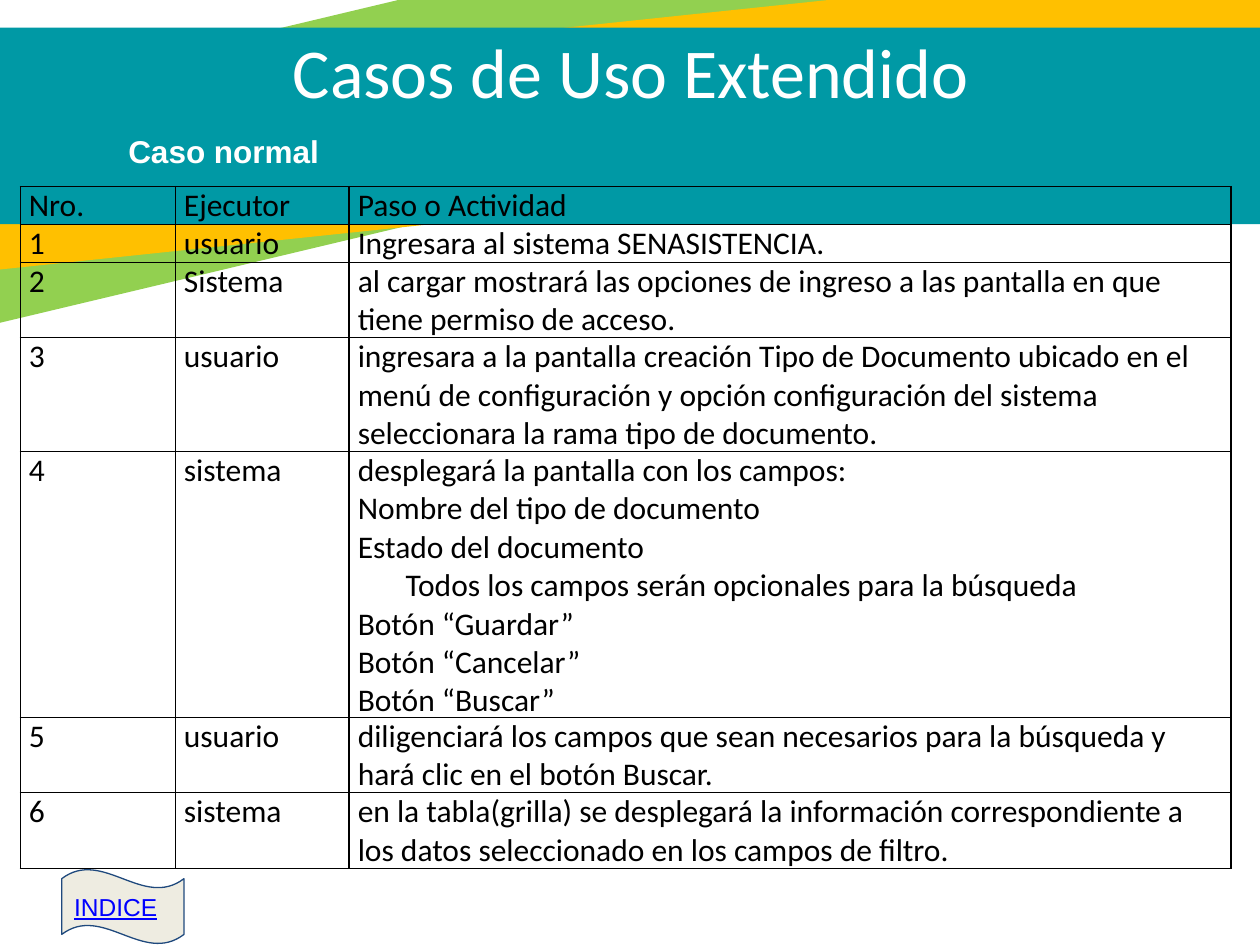
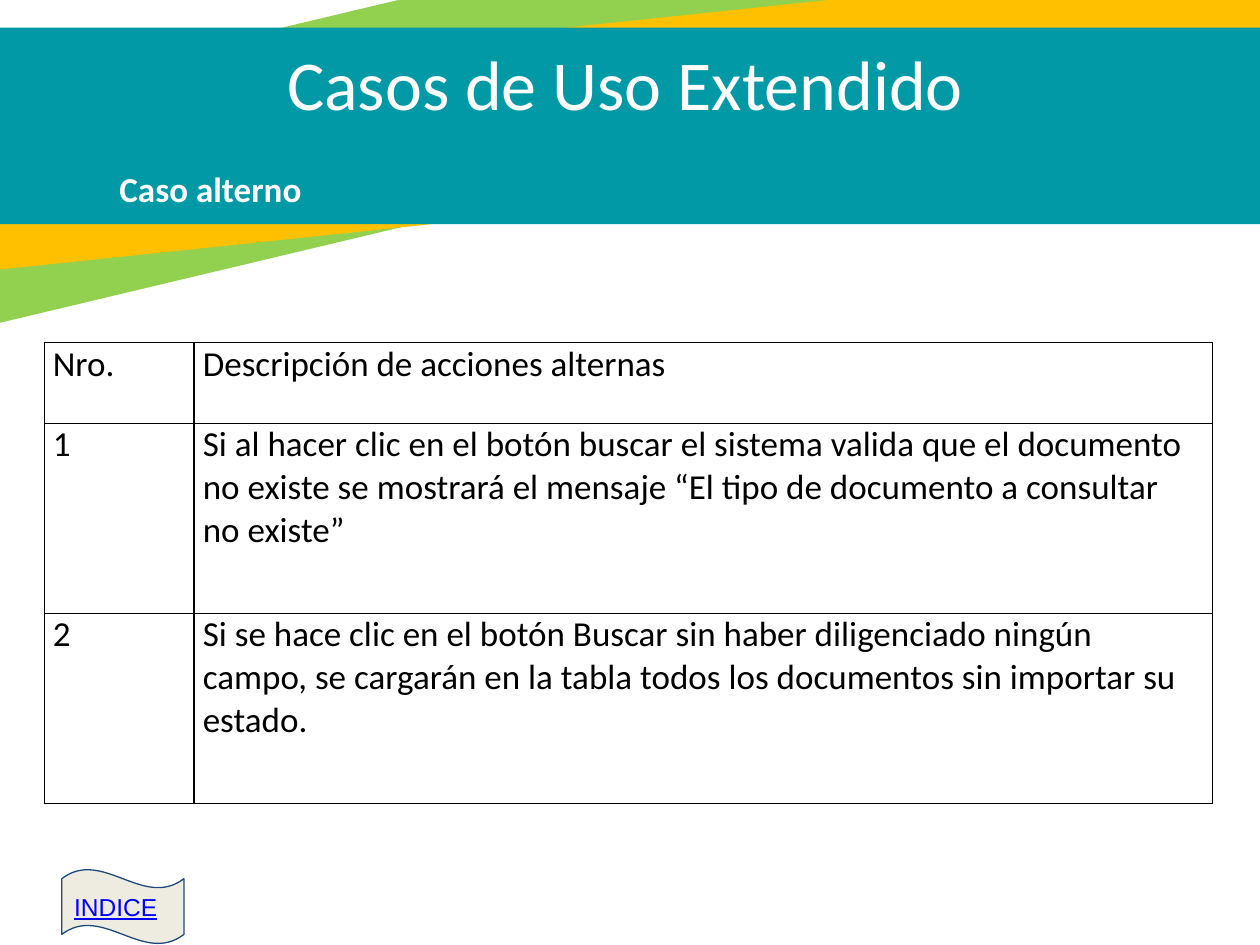
from lxml import etree
from pptx import Presentation
from pptx.dml.color import RGBColor
from pptx.enum.shapes import MSO_SHAPE as Shape
from pptx.enum.text import MSO_ANCHOR as Anchor, PP_ALIGN as Align
from pptx.oxml.ns import qn
from pptx.util import Inches, Pt

TEAL = RGBColor(0x00, 0x99, 0xA5)
GREEN = RGBColor(0x92, 0xD0, 0x50)
AMBER = RGBColor(0xFF, 0xC0, 0x00)
CREAM = RGBColor(0xEE, 0xEC, 0xE1)
NAVY = RGBColor(0x1F, 0x49, 0x7D)
BLUE = RGBColor(0x00, 0x00, 0xFF)
WHITE = RGBColor(0xFF, 0xFF, 0xFF)
BLACK = RGBColor(0x00, 0x00, 0x00)

BANDS = [
    (-2.51, -0.18, 13.06, 1.76, 346.6, GREEN),
    (-1.1, 0.2, 11.63, 1.44, 354, AMBER),
    (-1.06, 0.22, 11.63, 1.56, 0, TEAL),
]
INDENTED_LINE = "Todos los campos serán opcionales para la búsqueda"

SLIDES = [
    {
        "title_box": (0, 0.18, 10.01, 0.77),
        "case": "Caso normal",
        "case_box": (0.92, 1, 5, 0.4),
        "case_font": "Arial",
        "size": 18,
        "table_at": (0.16, 1.48),
        "columns": [1.23, 1.38, 7],
        "heights": [0.3, 0.3, 0.6, 0.9, 2.11, 0.6, 0.6],
        "rows": [
            ("Nro.", "Ejecutor", "Paso o Actividad"),
            ("1", "usuario", "Ingresara al sistema SENASISTENCIA."),
            ("2", "Sistema", "al cargar mostrará las opciones de ingreso a las pantalla "
             "en que tiene permiso de acceso."),
            ("3", "usuario", "ingresara a la pantalla creación Tipo de Documento ubicado "
             "en el menú de configuración y opción configuración del sistema "
             "seleccionara la rama tipo de documento."),
            ("4", "sistema", "desplegará la pantalla con los campos:\n"
             "Nombre del tipo de documento\nEstado del documento\n"
             f"{INDENTED_LINE}\n"
             "Botón “Guardar”\nBotón “Cancelar”\nBotón “Buscar”"),
            ("5", "usuario", "diligenciará los campos que sean necesarios para la "
             "búsqueda y hará clic en el botón Buscar."),
            ("6", "sistema", "en la tabla(grilla) se desplegará la información "
             "correspondiente a los datos seleccionado en los campos de filtro."),
        ],
    },
    {
        "title_box": (0, 0.27, 9.92, 0.77),
        "case": "Caso alterno",
        "case_box": (0.85, 1.28, 5, 0.44),
        "case_font": "Calibri",
        "size": 20,
        "table_at": (0.35, 2.72),
        "columns": [1.19, 8.08],
        "heights": [0.64, 1.51, 1.51],
        "rows": [
            ("Nro.", "Descripción de acciones alternas"),
            ("1", "Si al hacer clic en el botón buscar el sistema valida que el "
             "documento no existe se mostrará el mensaje “El tipo de documento a "
             "consultar no existe”"),
            ("2", "Si se hace clic en el botón Buscar sin haber diligenciado ningún "
             "campo, se cargarán en la tabla todos los documentos sin importar su "
             "estado."),
        ],
    },
]


def write_text(frame, text, size, font="Calibri", color=BLACK, bold=False,
               underline=False, align=Align.LEFT):
    frame.word_wrap = True
    for index, line in enumerate(text.split("\n")):
        paragraph = frame.paragraphs[0] if index == 0 else frame.add_paragraph()
        paragraph.alignment = align
        if line == INDENTED_LINE:
            paragraph._p.get_or_add_pPr().set("marL", str(Inches(0.38)))
        run = paragraph.add_run()
        run.text = line
        run.font.size = Pt(size)
        run.font.name = font
        run.font.bold = bold
        run.font.underline = underline
        run.font.color.rgb = color


def add_borders(cell):
    properties = cell._tc.get_or_add_tcPr()
    for position, side in enumerate(("a:lnL", "a:lnR", "a:lnT", "a:lnB")):
        line = etree.Element(qn(side), w=str(Pt(0.75)))
        fill = etree.SubElement(line, qn("a:solidFill"))
        etree.SubElement(fill, qn("a:srgbClr"), val=str(BLACK))
        properties.insert(position, line)


presentation = Presentation()
presentation.slide_width = Inches(10)
presentation.slide_height = Inches(7.5)

for content in SLIDES:
    slide = presentation.slides.add_slide(presentation.slide_layouts[6])
    shapes = slide.shapes

    for *box, rotation, color in BANDS:
        band = shapes.add_shape(Shape.RECTANGLE, *map(Inches, box))
        band.rotation = rotation
        band.shadow.inherit = False
        band.fill.solid()
        band.fill.fore_color.rgb = color
        band.line.fill.background()

    title = shapes.add_textbox(*map(Inches, content["title_box"]))
    write_text(title.text_frame, "Casos de Uso Extendido", 40, color=WHITE,
               align=Align.CENTER)
    case = shapes.add_textbox(*map(Inches, content["case_box"]))
    write_text(case.text_frame, content["case"], content["size"],
               font=content["case_font"], color=WHITE, bold=True)

    columns, heights, rows = content["columns"], content["heights"], content["rows"]
    table = shapes.add_table(len(rows), len(columns), *map(Inches, content["table_at"]),
                             Inches(sum(columns)), Inches(sum(heights))).table
    table.first_row = False
    table.horz_banding = False
    for column, width in zip(table.columns, columns):
        column.width = Inches(width)
    for row, height, texts in zip(table.rows, heights, rows):
        row.height = Inches(height)
        for cell, text in zip(row.cells, texts):
            cell.margin_left = cell.margin_right = Inches(0.07)
            cell.margin_top = cell.margin_bottom = 0
            cell.fill.background()
            add_borders(cell)
            is_executor = text.lower() in ("usuario", "sistema")
            write_text(cell.text_frame, text, content["size"],
                       align=Align.JUSTIFY if is_executor else Align.LEFT)

    index_button = shapes.add_shape(Shape.WAVE, *map(Inches, (0.49, 6.9, 0.97, 0.59)))
    index_button.shadow.inherit = False
    index_button.fill.solid()
    index_button.fill.fore_color.rgb = CREAM
    index_button.line.color.rgb = NAVY
    index_button.line.width = Pt(0.75)
    frame = index_button.text_frame
    frame.margin_left = frame.margin_right = Inches(0.1)
    frame.margin_top = frame.margin_bottom = Inches(0.1)
    frame.vertical_anchor = Anchor.MIDDLE
    write_text(frame, "INDICE", 14, font="Arial", color=BLUE, underline=True)

presentation.save("out.pptx")
